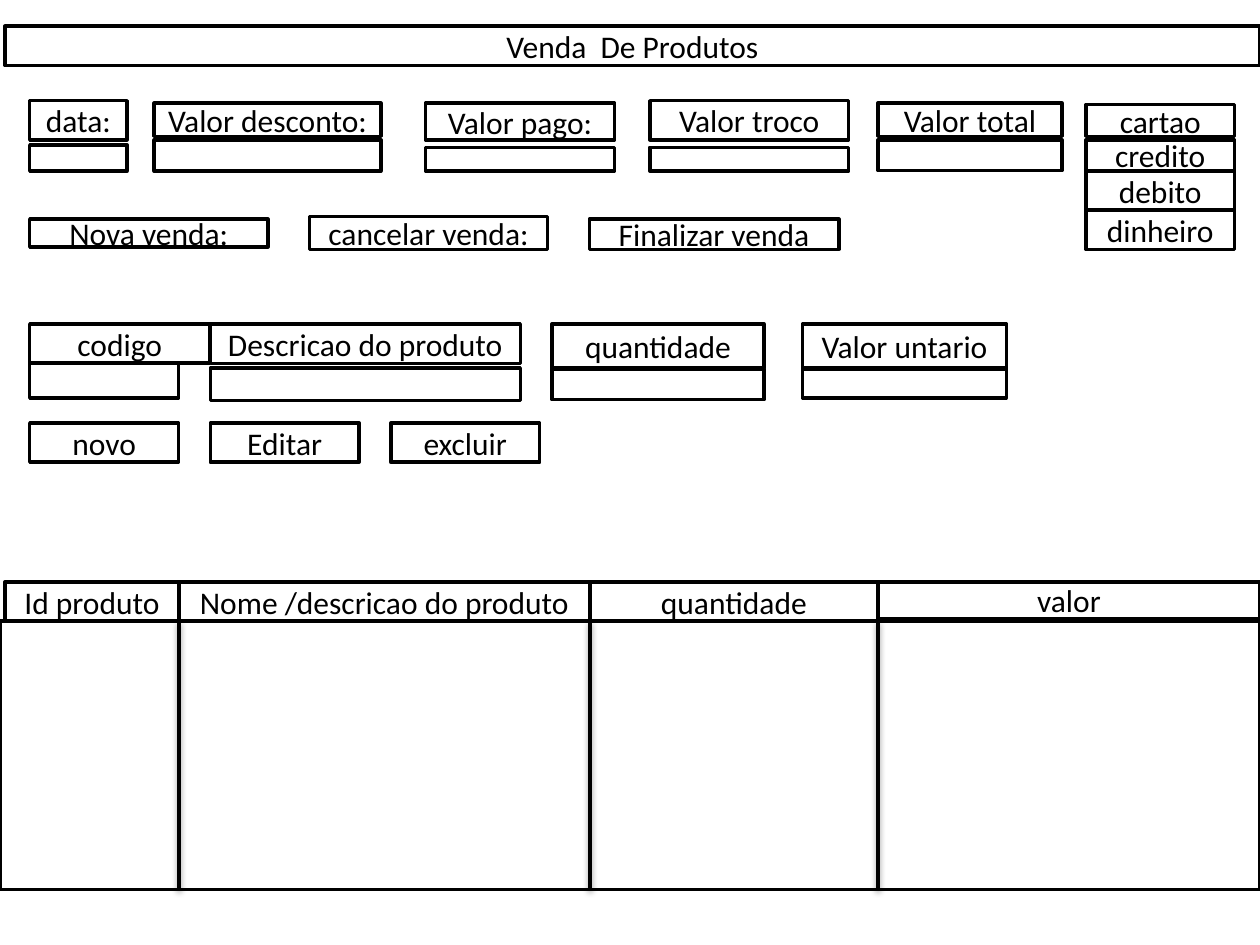
from lxml import etree
from pptx import Presentation
from pptx.dml.color import RGBColor
from pptx.enum.shapes import MSO_CONNECTOR, MSO_SHAPE
from pptx.enum.text import MSO_ANCHOR, PP_ALIGN
from pptx.oxml import parse_xml
from pptx.util import Cm, Pt

RECT = MSO_SHAPE.RECTANGLE
LINE = MSO_CONNECTOR.STRAIGHT
MIDDLE = MSO_ANCHOR.MIDDLE
CENTER = PP_ALIGN.CENTER
BLACK = RGBColor(0, 0, 0)
WHITE = RGBColor(255, 255, 255)
FONT = {"name": "Calibri", "size": Pt(18)}
NS = "http://schemas.openxmlformats.org/drawingml/2006/main"
SHADE = etree.tostring(etree.Element("{%s}effectLst" % NS, nsmap={"a": NS})).decode().replace(
    "/>",
    '><a:outerShdw blurRad="40000" dist="20000" dir="5400000" rotWithShape="0">'
    '<a:srgbClr val="000000"><a:alpha val="38000"/></a:srgbClr>'
    "</a:outerShdw></a:effectLst>",
)


def stroke(line):
    """Give a line the common black outline."""
    line.color.rgb = BLACK
    line.width = Pt(2)


def cell(slide, left, top, width, height, text=""):
    """Draw one outlined box with optional centred text."""
    shape = slide.shapes.add_shape(RECT, Cm(left), Cm(top), Cm(width), Cm(height))
    shape.shadow.inherit = False
    shape.fill.solid()
    shape.fill.fore_color.rgb = WHITE
    stroke(shape.line)
    if text:
        frame = shape.text_frame
        frame.vertical_anchor = MIDDLE
        para = frame.paragraphs[0]
        para.alignment = CENTER
        run = para.add_run()
        run.text = text
        for key, value in FONT.items():
            setattr(run.font, key, value)
        run.font.color.rgb = BLACK


def fields(slide, left, top, items):
    """Draw labels with an entry box below each one."""
    for dx, dy, width, height, text, drop, wide, deep in items:
        cell(slide, left + dx, top + drop, wide, deep)
        cell(slide, left + dx, top + dy, width, height, text)


def buttons(slide, left, top, items):
    """Draw a set of labelled boxes placed from one corner."""
    for dx, dy, width, height, text in items:
        cell(slide, left + dx, top + dy, width, height, text)


def grid(slide, left, top, width, height):
    """Draw the product list with its heads and column rules."""
    head = 0.79
    heads = ["Id produto", "Nome /descricao do produto", "quantidade", "valor"]
    edges = [0.1, 3.61, 11.89, 17.7, width]
    cell(slide, left, top + head, width, height - head)
    for text, start, end in zip(heads, edges, edges[1:]):
        deep = 0.74 if text == "valor" else head
        cell(slide, left + start, top, end - start, deep, text)
    for edge in edges[1:-1]:
        x = Cm(left + edge)
        rule = slide.shapes.add_connector(LINE, x, Cm(top + head), x, Cm(top + height))
        stroke(rule.line)
        rule._element.spPr.append(parse_xml(SHADE))


def build():
    """Build the sales form and save it."""
    deck = Presentation()
    deck.slide_width, deck.slide_height = Cm(25.4), Cm(19.05)
    slide = deck.slides.add_slide(deck.slide_layouts[6])
    cell(slide, 0.1, 0.53, 25.3, 0.79, "Venda  De Produtos")
    fields(slide, 0.6, 2.03, [
        (0, 0, 1.96, 0.79, "data:", 0.89, 1.96, 0.53),
        (2.51, 0.05, 4.57, 0.67, "Valor desconto:", 0.79, 4.57, 0.63),
        (7.98, 0.05, 3.81, 0.74, "Valor pago:", 0.94, 3.81, 0.48),
        (12.5, 0, 4.01, 0.79, "Valor troco", 0.94, 4.01, 0.48),
        (17.1, 0.05, 3.71, 0.67, "Valor total", 0.79, 3.71, 0.62),
    ])
    buttons(slide, 21.89, 2.11, [
        (0, 0, 3, 0.64, "cartao"),
        (0, 1.34, 3, 0.79, "debito"),
        (0, 0.71, 3, 0.62, "credito"),
        (0, 2.13, 3, 0.79, "dinheiro"),
    ])
    buttons(slide, 0.6, 4.37, [
        (0, 0.05, 4.8, 0.56, "Nova venda:"),
        (5.64, 0, 4.8, 0.66, "cancelar venda:"),
        (11.28, 0.05, 5.03, 0.61, "Finalizar venda"),
    ])
    fields(slide, 0.6, 6.53, [
        (0, 0, 3.63, 0.79, "codigo", 0.79, 3, 0.71),
        (3.64, 0, 6.25, 0.8, "Descricao do produto", 0.89, 6.25, 0.66),
        (10.53, 0, 4.27, 0.89, "quantidade", 0.91, 4.27, 0.62),
        (15.58, 0, 4.11, 0.89, "Valor untario", 0.91, 4.11, 0.58),
    ])
    names = ["novo", "Editar", "excluir"]
    buttons(slide, 0.6, 8.53, [(i * 3.64, 0, 3, 0.79, n) for i, n in enumerate(names)])
    grid(slide, 0, 11.73, 25.4, 6.2)
    deck.save("out.pptx")


build()
